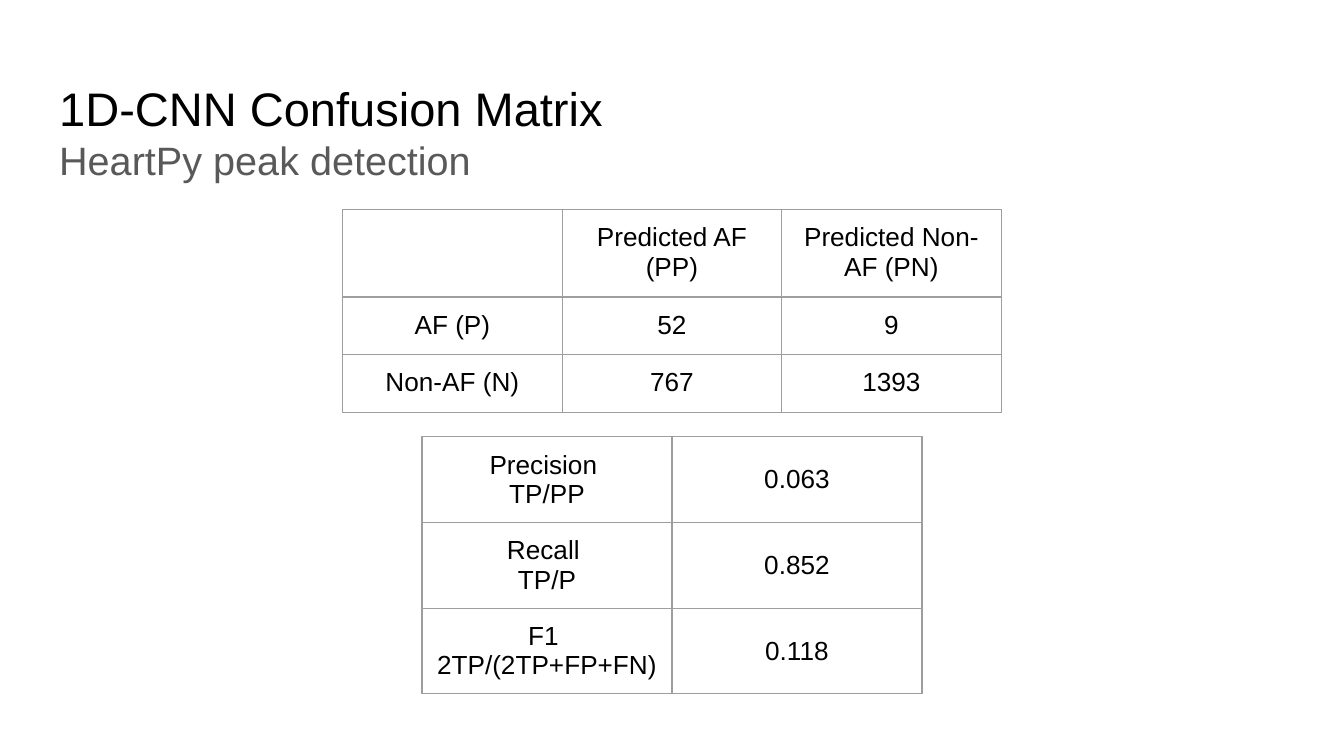
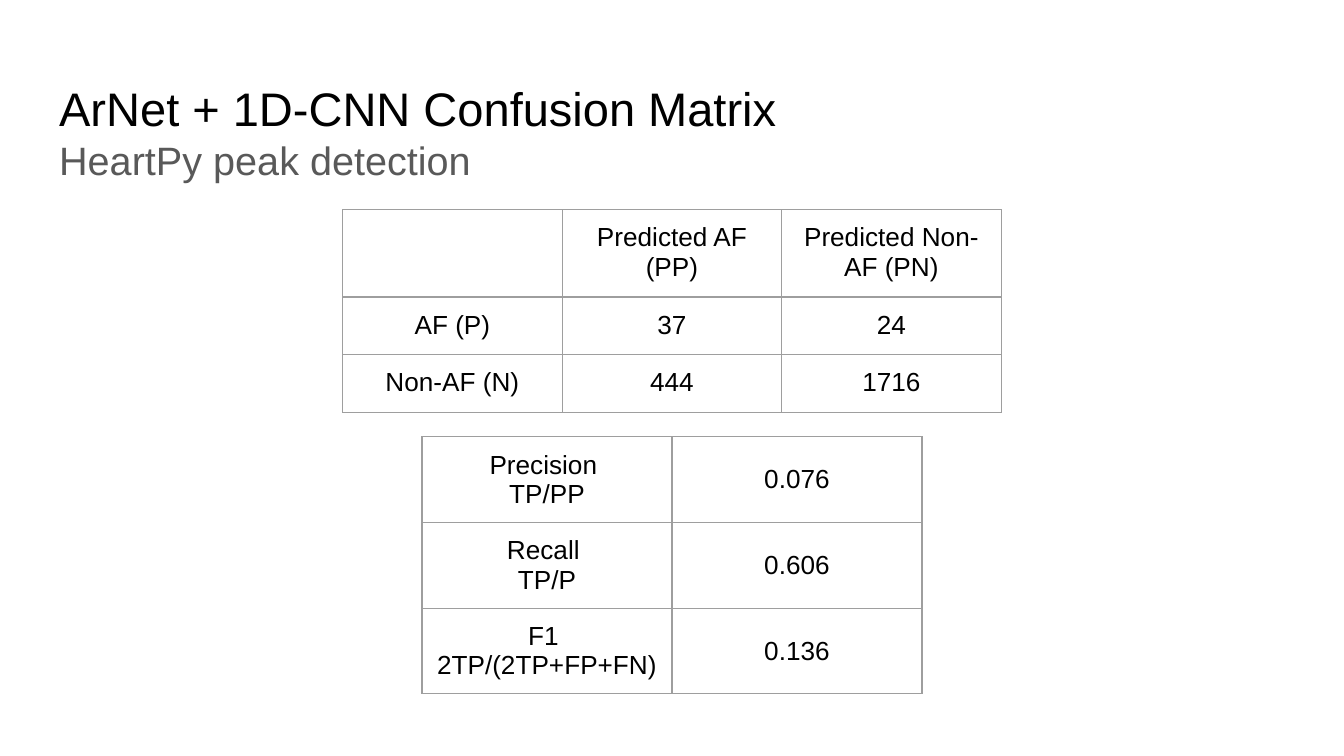
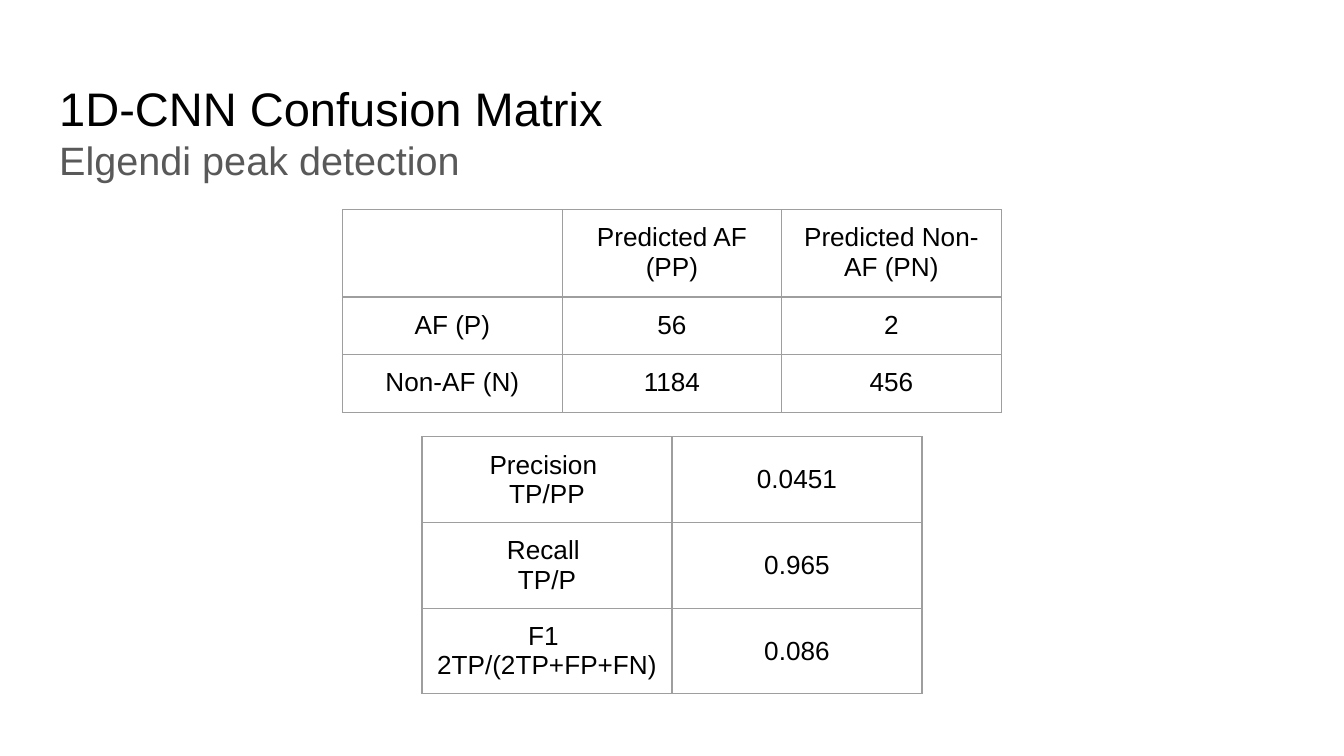
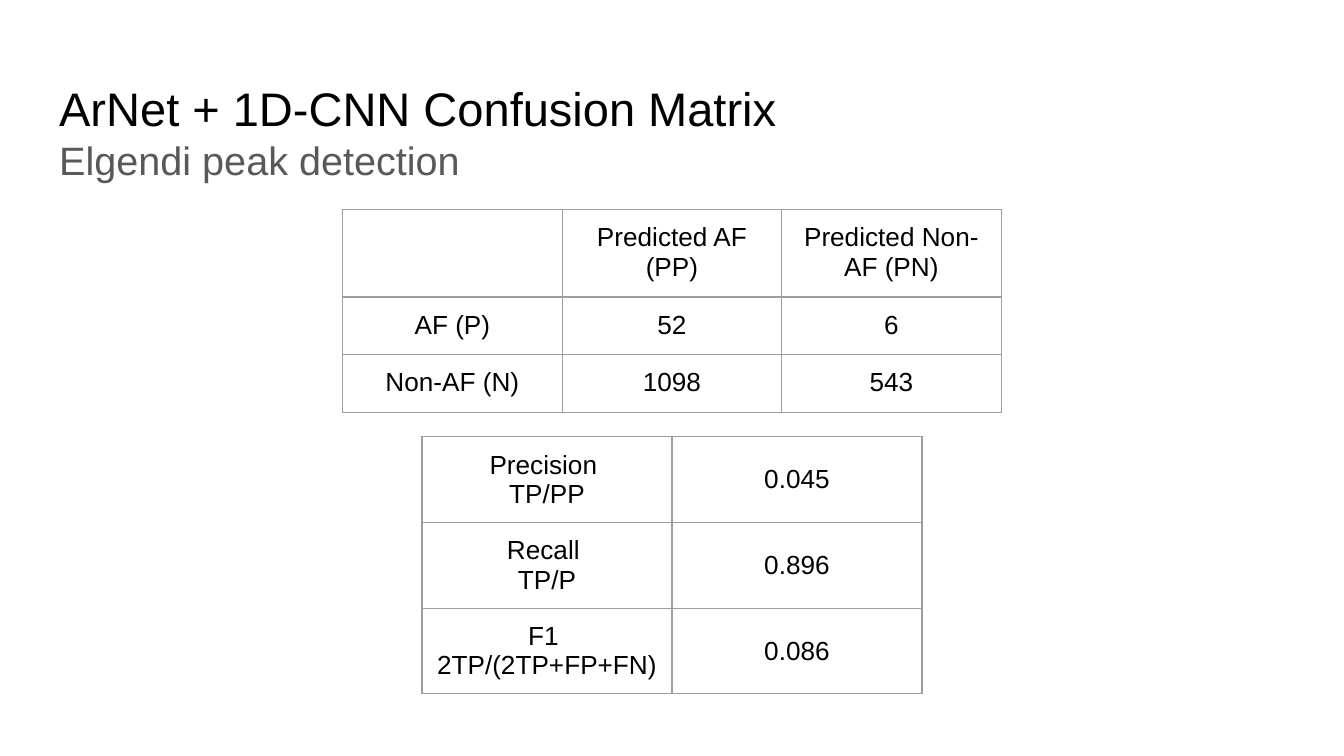
from pptx import Presentation
from pptx.dml.color import RGBColor
from pptx.enum.text import MSO_ANCHOR, MSO_AUTO_SIZE, PP_ALIGN
from pptx.oxml import parse_xml
from pptx.oxml.ns import nsdecls
from pptx.util import Inches, Pt

BLACK = RGBColor(0x00, 0x00, 0x00)
GREY = RGBColor(0x59, 0x59, 0x59)
BORDER = RGBColor(0x9E, 0x9E, 0x9E)
FONT = "Arial"
INSET = Inches(0.1)

# Model, peak detector, confusion counts by row, metric values
RESULTS = [
    ("1D-CNN", "HeartPy", [("52", "9"), ("767", "1393")], ("0.063", "0.852", "0.118")),
    ("ArNet + 1D-CNN", "HeartPy", [("37", "24"), ("444", "1716")], ("0.076", "0.606", "0.136")),
    ("1D-CNN", "Elgendi", [("56", "2"), ("1184", "456")], ("0.0451", "0.965", "0.086")),
    ("ArNet + 1D-CNN", "Elgendi", [("52", "6"), ("1098", "543")], ("0.045", "0.896", "0.086")),
]
METRICS = ("Precision \vTP/PP", "Recall \vTP/P", "F1 \v2TP/(2TP+FP+FN)")


def style_cell(cell, anchor):
    cell.fill.background()
    tcPr = cell._tc.get_or_add_tcPr()
    for i, side in enumerate(("lnL", "lnR", "lnT", "lnB")):
        tcPr.insert(i, parse_xml(
            f'<a:{side} {nsdecls("a")} w="{Pt(0.75)}"><a:solidFill>'
            f'<a:srgbClr val="{BORDER}"/></a:solidFill></a:{side}>'))
    cell.margin_left = cell.margin_right = INSET
    cell.margin_top = cell.margin_bottom = INSET
    cell.vertical_anchor = anchor
    p = cell.text_frame.paragraphs[0]
    p.alignment = PP_ALIGN.CENTER
    p.font.name, p.font.size, p.font.bold = FONT, Pt(14), False
    p.font.color.rgb = BLACK


def add_grid(s, rows, left, top, width, heights, anchor):
    n_cols = len(rows[0])
    tbl = s.shapes.add_table(len(rows), n_cols, Inches(left), Inches(top),
                             Inches(width), Inches(sum(heights))).table
    tbl.first_row = tbl.horz_banding = False
    for r, (values, height) in enumerate(zip(rows, heights)):
        tbl.rows[r].height = Inches(height)
        for c, value in enumerate(values):
            cell = tbl.cell(r, c)
            if value:
                cell.text = value
            style_cell(cell, anchor)


prs = Presentation()
prs.slide_width = Inches(10)
prs.slide_height = prs.slide_width * 9 // 16

for model, detector, counts, scores in RESULTS:
    s = prs.slides.add_slide(prs.slide_layouts[5])

    # Title with the peak detector on its second line
    title = s.shapes.title
    title.left, title.top = Inches(0.34), Inches(0.49)
    title.width, title.height = Inches(9.32), Inches(0.63)
    tf = title.text_frame
    tf.auto_size, tf.word_wrap = MSO_AUTO_SIZE.NONE, True
    tf.vertical_anchor = MSO_ANCHOR.TOP
    tf.margin_left = tf.margin_right = tf.margin_top = tf.margin_bottom = INSET
    p = tf.paragraphs[0]
    p.alignment, p.line_spacing = PP_ALIGN.LEFT, 1.0
    for text, size, color in ((f"{model} Confusion Matrix", 25.2, BLACK),
                              (f"{detector} peak detection", 21.2, GREY)):
        if p.runs:
            p.add_line_break()
        r = p.add_run()
        r.text = text
        r.font.name, r.font.size = FONT, Pt(size)
        r.font.color.rgb = color

    # Confusion matrix
    matrix = [("", "Predicted AF (PP)", "Predicted Non-AF (PN)"),
              ("AF (P)", *counts[0]),
              ("Non-AF (N)", *counts[1])]
    add_grid(s, matrix, 2.55, 1.56, 4.9, (0.65, 0.43, 0.43), MSO_ANCHOR.TOP)

    # Metrics
    add_grid(s, list(zip(METRICS, scores)), 3.14, 3.25, 3.72, (0.47, 0.43, 0.43),
             MSO_ANCHOR.MIDDLE)

prs.save("out.pptx")
